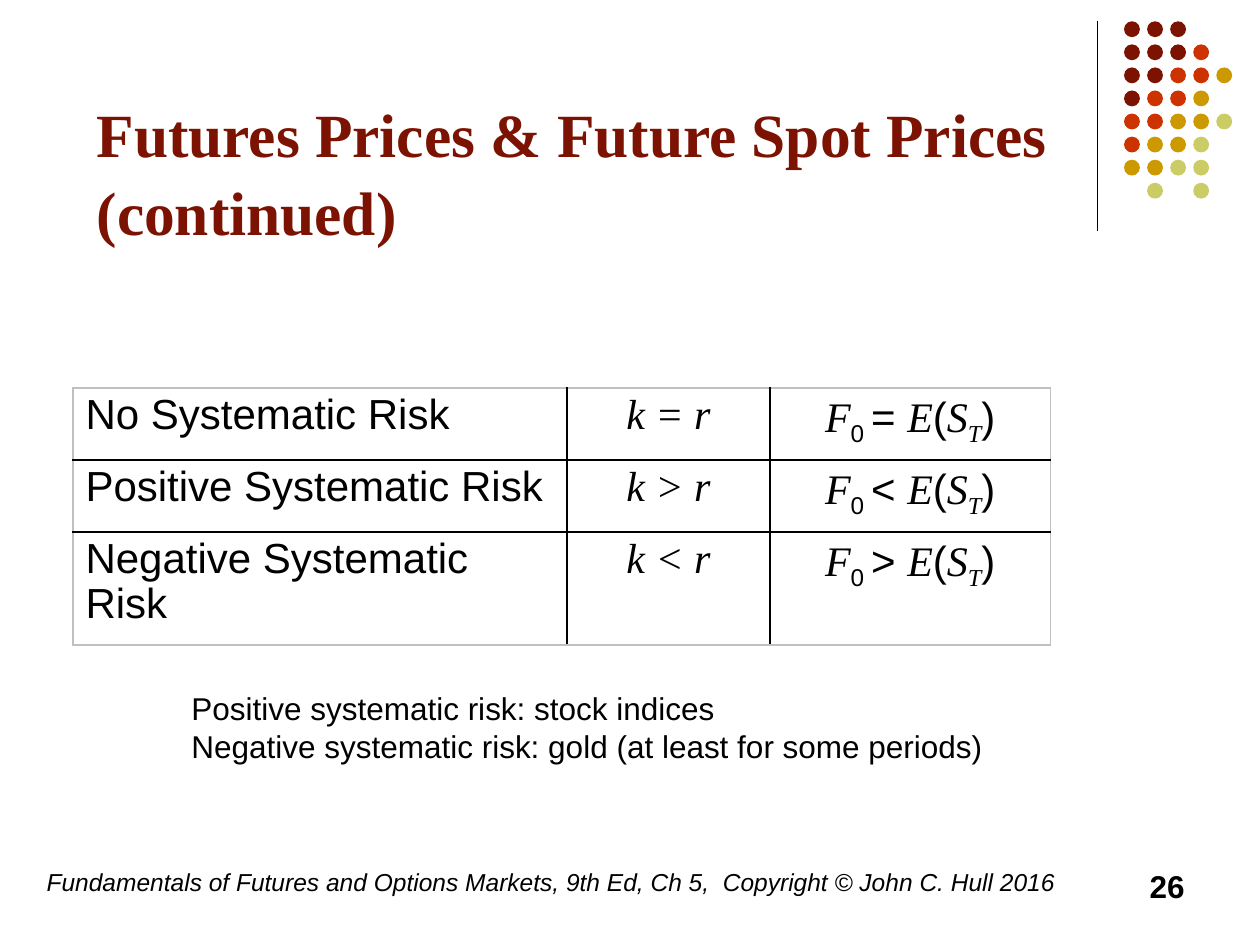
"""Build the slide on futures prices and expected future spot prices."""
from lxml import etree
from pptx import Presentation
from pptx import util as u
from pptx.dml.color import RGBColor
from pptx.enum import shapes, text
from pptx.oxml import ns

MAROON = RGBColor(0x7C, 0x13, 0x02)
RED = RGBColor(0xCC, 0x33, 0x00)
GOLD = RGBColor(0xCC, 0x99, 0x00)
OLIVE = RGBColor(0xCC, 0xCC, 0x66)
BLACK = RGBColor(0, 0, 0)
GREY = RGBColor(0xC0, 0xC0, 0xC0)
SANS, SERIF = "Arial", "Times New Roman"

TITLE = "Futures Prices & Future Spot Prices (continued)"
RISKS = [
    ("No Systematic Risk", "="),
    ("Positive Systematic Risk", ">"),
    ("Negative Systematic Risk", "<"),
]
PRICE_SIGN = {"=": "=", ">": "<", "<": ">"}
EXAMPLES = [
    "Positive systematic risk: stock indices",
    "Negative systematic risk: gold (at least for some periods)",
]
FOOTER = "Fundamentals of Futures and Options Markets, 9th Ed, Ch 5,  Copyright © John C. Hull 2016"
PAGE = "26"
DOT_ROWS = ["MMM", "MMMR", "MMRRG", "MRRG", "RRGGO", "RGGO", "GGOO", " O O"]
DOT_COLOURS = {"M": MAROON, "R": RED, "G": GOLD, "O": OLIVE}
DOT_LEFT, DOT_TOP, DOT_PITCH, DOT_SIZE = 22.66, 0.43, 0.465, 0.32
COLUMN_WIDTHS = [9.96, 4.09, 5.66]
ROW_HEIGHTS = [1.45, 1.45, 2.28]


def style(font, size, face=SANS, colour=BLACK, bold=False, italic=False):
    font.size, font.name, font.bold, font.italic = u.Pt(size), face, bold, italic
    font.color.rgb = colour


def add_text(slide, box, lines, size, align=text.PP_ALIGN.LEFT, **look):
    frame = slide.shapes.add_textbox(*map(u.Cm, box)).text_frame
    frame.word_wrap = True
    frame.text = "\n".join(lines)
    for paragraph in frame.paragraphs:
        paragraph.alignment = align
        for run in paragraph.runs:
            style(run.font, size, **look)
    return frame


def add_dots(slide):
    dots = slide.shapes.add_group_shape()
    for row, letters in enumerate(DOT_ROWS):
        for column, letter in enumerate(letters):
            if letter == " ":
                continue
            dot = dots.shapes.add_shape(
                shapes.MSO_SHAPE.OVAL,
                u.Cm(DOT_LEFT + column * DOT_PITCH), u.Cm(DOT_TOP + row * DOT_PITCH),
                u.Cm(DOT_SIZE), u.Cm(DOT_SIZE))
            dot.shadow.inherit = False
            dot.fill.solid()
            dot.fill.fore_color.rgb = DOT_COLOURS[letter]
            dot.line.fill.background()


def add_rule(slide):
    rule = slide.shapes.add_connector(
        shapes.MSO_CONNECTOR.STRAIGHT, u.Cm(22.12), u.Cm(0.43), u.Cm(22.12), u.Cm(4.65))
    rule.line.color.rgb = BLACK
    rule.line.width = u.Pt(0.75)
    etree.SubElement(rule._element.spPr, ns.qn("a:effectLst"))


def set_borders(cell, row, column):
    outer = {"L": column == 0, "R": column == len(COLUMN_WIDTHS) - 1,
             "T": row == 0, "B": row == len(ROW_HEIGHTS) - 1}
    properties = cell._tc.get_or_add_tcPr()
    for position, (side, is_outer) in enumerate(outer.items()):
        border = etree.Element(ns.qn(f"a:ln{side}"), w=str(u.Pt(1)))
        fill = etree.SubElement(border, ns.qn("a:solidFill"))
        etree.SubElement(fill, ns.qn("a:srgbClr"), val=str(GREY if is_outer else BLACK))
        properties.insert(position, border)


def price_relation(sign):
    return [("F", SERIF, False), ("0 ", SANS, True), (f"{sign} ", SANS, False),
            ("E", SERIF, False), ("(", SANS, False), ("S", SERIF, False),
            ("T", SERIF, True), (")", SANS, False)]


def add_risk_table(slide):
    table = slide.shapes.add_table(
        len(ROW_HEIGHTS), len(COLUMN_WIDTHS), u.Cm(1.47), u.Cm(7.82),
        u.Cm(sum(COLUMN_WIDTHS)), u.Cm(sum(ROW_HEIGHTS))).table
    table.first_row = table.horz_banding = False
    for column, width in zip(table.columns, COLUMN_WIDTHS):
        column.width = u.Cm(width)
    for row, (risk, sign) in enumerate(RISKS):
        table.rows[row].height = u.Cm(ROW_HEIGHTS[row])
        contents = [[(risk, SANS, False)], [(f"k {sign} r", SERIF, False)],
                    price_relation(PRICE_SIGN[sign])]
        for column, pieces in enumerate(contents):
            cell = table.cell(row, column)
            cell.fill.background()
            set_borders(cell, row, column)
            paragraph = cell.text_frame.paragraphs[0]
            paragraph.line_spacing = 0.95
            paragraph.alignment = text.PP_ALIGN.CENTER if column else text.PP_ALIGN.LEFT
            for words, face, subscript in pieces:
                run = paragraph.add_run()
                run.text = words
                style(run.font, 24, face, italic=face == SERIF)
                if subscript:
                    run._r.get_or_add_rPr().set("baseline", "-25000")


def main():
    deck = Presentation()
    deck.slide_width, deck.slide_height = u.Cm(25.4), u.Cm(19.05)
    slide = deck.slides.add_slide(deck.slide_layouts[6])
    add_rule(slide)
    add_dots(slide)
    title = add_text(slide, (1.7, 3.38, 21.59, 3.18), [TITLE], 35.1,
                     face=SERIF, colour=MAROON, bold=True)
    title.vertical_anchor = text.MSO_ANCHOR.BOTTOM
    title.margin_bottom = u.Cm(1.57)
    title.paragraphs[0].line_spacing = 1.05
    add_text(slide, (0.69, 17.35, 21.01, 1.27), [FOOTER], 14, italic=True)
    add_text(slide, (18.21, 17.35, 5.92, 1.27), [PAGE], 18, text.PP_ALIGN.RIGHT, bold=True)
    add_risk_table(slide)
    add_text(slide, (3.61, 13.77, 17.78, 1.8), EXAMPLES, 18)
    deck.save("out.pptx")


if __name__ == "__main__":
    main()
